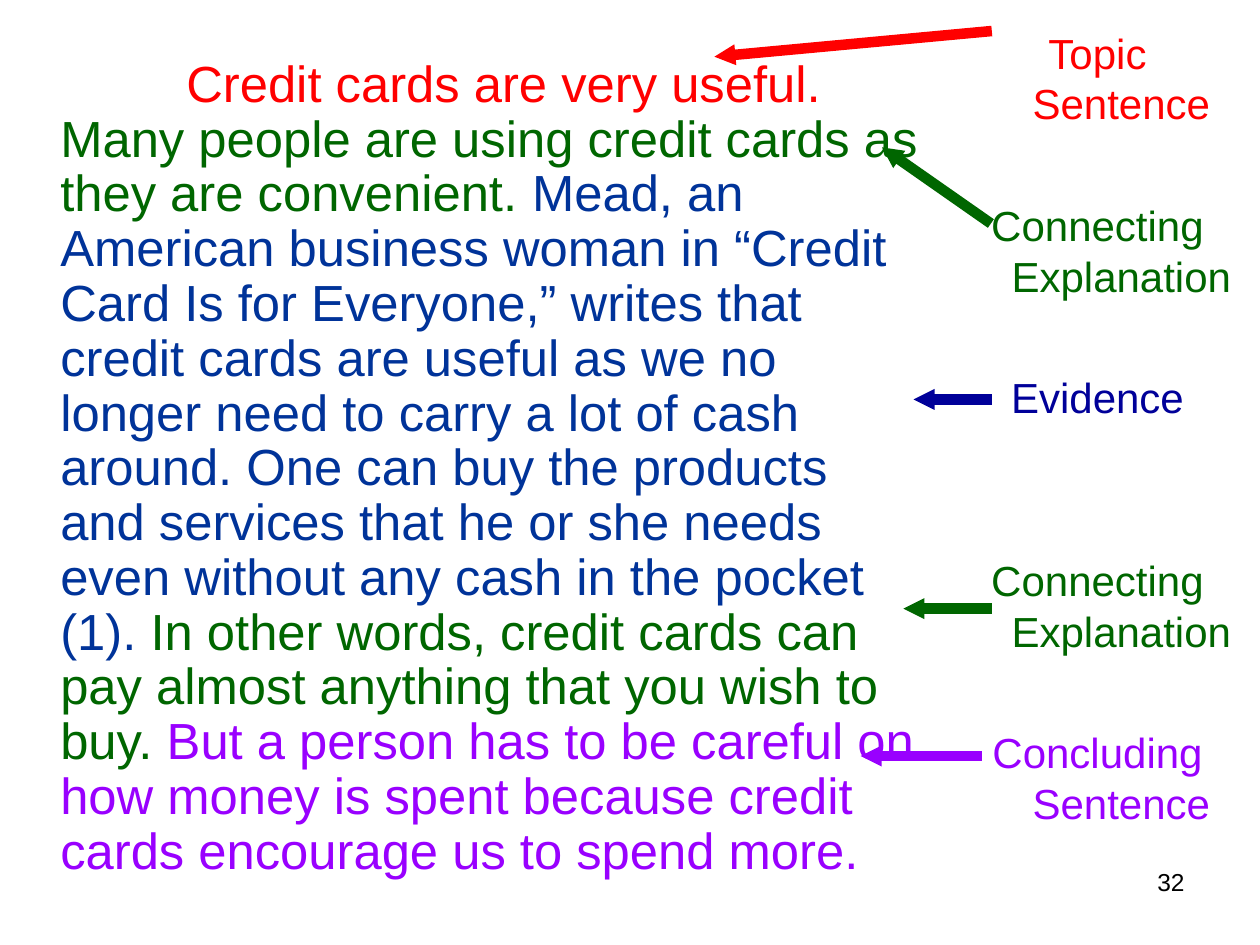
from lxml.etree import SubElement
from pptx import Presentation
from pptx.dml.color import RGBColor
from pptx.enum.shapes import MSO_CONNECTOR
from pptx.enum.text import PP_ALIGN
from pptx.oxml.ns import qn
from pptx.util import Inches, Pt

BLACK = RGBColor(0x00, 0x00, 0x00)
RED = RGBColor(0xFF, 0x00, 0x00)
GREEN = RGBColor(0x00, 0x66, 0x00)
BLUE = RGBColor(0x00, 0x33, 0x99)
NAVY = RGBColor(0x00, 0x00, 0x99)
PURPLE = RGBColor(0x99, 0x00, 0xFF)

ESSAY = [
    ("Credit cards are very useful. ", RED),
    ("Many people are using credit cards as they are convenient. ", GREEN),
    ("Mead, an American business woman in “Credit Card Is for Everyone,” writes that "
     "credit cards are useful as we no longer need to carry a lot of cash around. "
     "One can buy the products and services that he or she needs even without any "
     "cash in the pocket (1).", BLUE),
    (" In other words, credit cards can pay almost anything that you wish to buy. ", GREEN),
    ("But a person has to be careful on how money is spent because credit cards "
     "encourage us to spend more.", PURPLE),
]

LABEL_LINE = 28.8
LABEL_GAP = 6
LABELS = [
    ("Topic Sentence", RED, 0),
    ("Connecting Explanation", GREEN, 1),
    ("Evidence", NAVY, 1),
    ("Connecting Explanation", GREEN, 2),
    ("Concluding Sentence", PURPLE, 1),
]

ARROWS = [
    ((7.83, 0.25), (5.67, 0.45), RED),
    ((7.83, 1.75), (7, 1.17), GREEN),
    ((7.83, 3.17), (7.25, 3.17), NAVY),
    ((7.83, 4.83), (7.17, 4.83), GREEN),
    ((7.75, 6), (6.83, 6), PURPLE),
]


class EssaySlide:
    font_name = "Arial"
    margin = Inches(0.38)
    arrow_width = Pt(6)

    def __init__(self, deck):
        self.slide = deck.slides.add_slide(deck.slide_layouts[6])

    def box(self, left, top, width, height):
        frame = self.slide.shapes.add_textbox(
            Inches(left), Inches(top), Inches(width), Inches(height)).text_frame
        frame.word_wrap = True
        return frame

    def style(self, paragraph, size, color=None, align=PP_ALIGN.LEFT):
        paragraph.alignment = align
        paragraph.font.name = self.font_name
        paragraph.font.size = Pt(size)
        if color is not None:
            paragraph.font.color.rgb = color

    def indent(self, paragraph, first_line, line_height):
        properties = paragraph._p.get_or_add_pPr()
        properties.set("marL", str(self.margin))
        properties.set("indent", str(first_line))
        paragraph.line_spacing = Pt(line_height)

    def essay(self, parts):
        paragraph = self.box(0, 0.41, 7.42, 7.08).paragraphs[0]
        self.indent(paragraph, Inches(1), 31.3)
        self.style(paragraph, 29)
        for text, color in parts:
            run = paragraph.add_run()
            run.text = text
            run.font.color.rgb = color

    def labels(self, entries):
        frame = self.box(7.5, 0.17, 2.42, 7)
        for index, (text, color, skipped) in enumerate(entries):
            paragraph = frame.add_paragraph() if index else frame.paragraphs[0]
            paragraph.text = text
            self.indent(paragraph, -self.margin, LABEL_LINE)
            if skipped:
                paragraph.space_before = Pt(
                    LABEL_GAP + skipped * (LABEL_LINE + LABEL_GAP))
            self.style(paragraph, 24, color, PP_ALIGN.CENTER)

    def page_number(self, number):
        paragraph = self.box(7.17, 6.83, 2.33, 0.52).paragraphs[0]
        paragraph.text = number
        self.style(paragraph, 14, BLACK, PP_ALIGN.RIGHT)

    def arrow(self, start, end, color):
        connector = self.slide.shapes.add_connector(
            MSO_CONNECTOR.STRAIGHT, *map(Inches, start + end))
        connector.line.color.rgb = color
        connector.line.width = self.arrow_width
        outline = connector.line._get_or_add_ln()
        outline.set("cap", "sq")
        SubElement(outline, qn("a:tailEnd"), type="triangle", w="sm", len="sm")
        SubElement(connector._element.spPr, qn("a:effectLst"))


def main():
    deck = Presentation()
    deck.slide_width, deck.slide_height = Inches(10), Inches(7.5)
    slide = EssaySlide(deck)
    slide.page_number("32")
    slide.essay(ESSAY)
    slide.labels(LABELS)
    for start, end, color in ARROWS:
        slide.arrow(start, end, color)
    deck.save("out.pptx")


if __name__ == "__main__":
    main()
